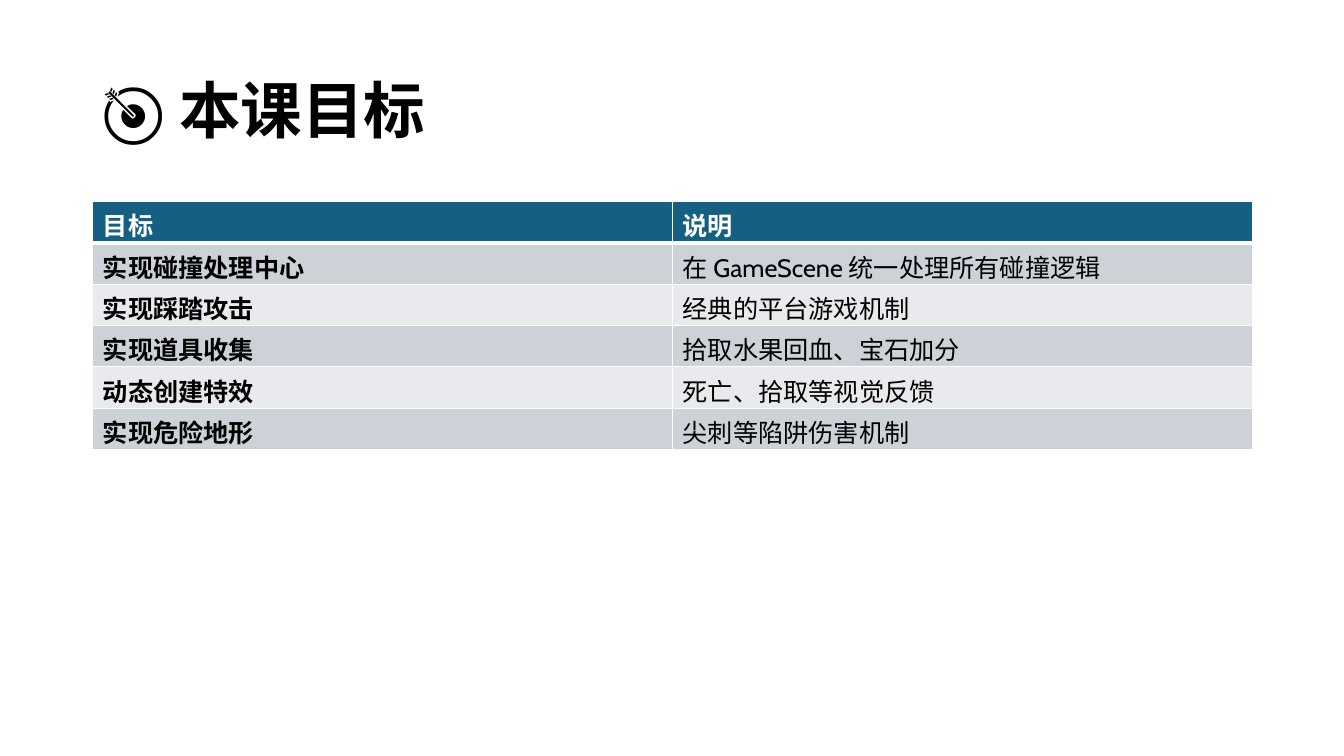
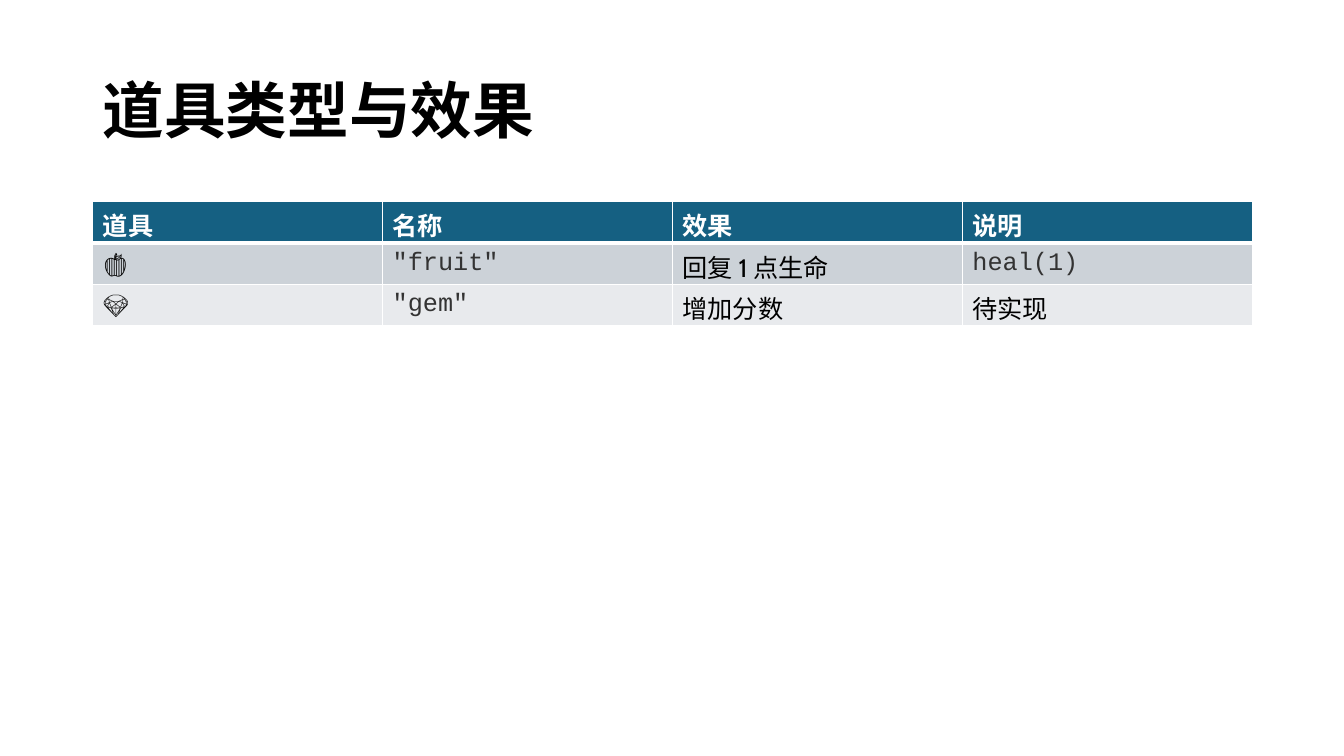
from lxml import etree
from pptx import Presentation
from pptx.dml.color import RGBColor
from pptx.enum.text import MSO_ANCHOR
from pptx.oxml.ns import qn
from pptx.util import Inches, Pt

MIDDLE = MSO_ANCHOR.MIDDLE
BLANK_LAYOUT = 6


def color(hex_value):
    return RGBColor.from_string(hex_value)


def write_text(frame, text, size=18, font="Cabin", ink="000000", bold=False, spacing=1.0):
    para = frame.paragraphs[0]
    para.line_spacing = spacing
    span = para.add_run()
    span.text = text
    span.font.size = Pt(size)
    span.font.name = font
    span.font.bold = bold
    span.font.color.rgb = color(ink)


def set_borders(cell, ink, **widths):
    """Draw cell edges; widths maps L, R, T and B to points, in that order."""
    properties = cell._tc.get_or_add_tcPr()
    for index, (side, width) in enumerate(widths.items()):
        line = etree.Element(qn(f"a:ln{side}"), w=str(Pt(width)))
        fill = etree.SubElement(line, qn("a:solidFill"))
        etree.SubElement(fill, qn("a:srgbClr"), val=ink)
        properties.insert(index, line)


class LessonDeck:
    LEFT, WIDTH = 0.92, 11.5
    TITLE_TOP, TITLE_HEIGHT = 0.4, 1.45
    TABLE_TOP, ROW_HEIGHT = 2, 0.41
    HEADER_FILL, BAND_FILLS = "156082", ("CCD2D8", "E8EAED")
    WHITE = "FFFFFF"
    HEADER = {"ink": WHITE, "bold": True}
    LABEL = {"bold": True}
    CODE = {"font": "Courier New", "ink": "333333"}

    def __init__(self):
        self.deck = Presentation()
        self.deck.slide_width, self.deck.slide_height = Inches(13.33), Inches(7.5)
        self.page = None

    def add_page(self, title):
        self.page = self.deck.slides.add_slide(self.deck.slide_layouts[BLANK_LAYOUT])
        box = self.page.shapes.add_textbox(
            Inches(self.LEFT), Inches(self.TITLE_TOP),
            Inches(self.WIDTH), Inches(self.TITLE_HEIGHT))
        box.text_frame.word_wrap = True
        box.text_frame.vertical_anchor = MIDDLE
        write_text(box.text_frame, title, size=44, bold=True, spacing=0.9)

    def add_table(self, header, rows, column_styles):
        """Add a banded table; column_styles holds the text format of each body column."""
        lines = [header, *rows]
        table = self.page.shapes.add_table(
            len(lines), len(header), Inches(self.LEFT), Inches(self.TABLE_TOP),
            Inches(self.WIDTH), Inches(self.ROW_HEIGHT * len(lines))).table
        for row_index, texts in enumerate(lines):
            for column_index, text in enumerate(texts):
                cell = table.cell(row_index, column_index)
                style = column_styles[column_index] if row_index else self.HEADER
                # A body cell may carry its own format as (text, format).
                if isinstance(text, tuple):
                    text, style = text
                self.fill_cell(cell, row_index, text, style)

    def fill_cell(self, cell, row_index, text, style):
        cell.vertical_anchor = MIDDLE
        cell.fill.solid()
        fill = self.BAND_FILLS[(row_index - 1) % 2] if row_index else self.HEADER_FILL
        cell.fill.fore_color.rgb = color(fill)
        set_borders(cell, self.WHITE, L=1, R=1,
                    T=3 if row_index == 1 else 1, B=3 if row_index == 0 else 1)
        write_text(cell.text_frame, text, **style)

    def save(self):
        self.deck.save("out.pptx")


def main():
    lesson = LessonDeck()

    lesson.add_page("🎯 本课目标")
    lesson.add_table(
        ["目标", "说明"],
        [["实现碰撞处理中心", "在 GameScene 统一处理所有碰撞逻辑"],
         ["实现踩踏攻击", "经典的平台游戏机制"],
         ["实现道具收集", "拾取水果回血、宝石加分"],
         ["动态创建特效", "死亡、拾取等视觉反馈"],
         ["实现危险地形", "尖刺等陷阱伤害机制"]],
        [lesson.LABEL, {}])

    lesson.add_page("道具类型与效果")
    lesson.add_table(
        ["道具", "名称", "效果", "说明"],
        [["🍎", '"fruit"', "回复 1 点生命", ("heal(1)", lesson.CODE)],
         ["💎", '"gem"', "增加分数", "待实现"]],
        [{}, lesson.CODE, {}, {}])

    lesson.save()


if __name__ == "__main__":
    main()
